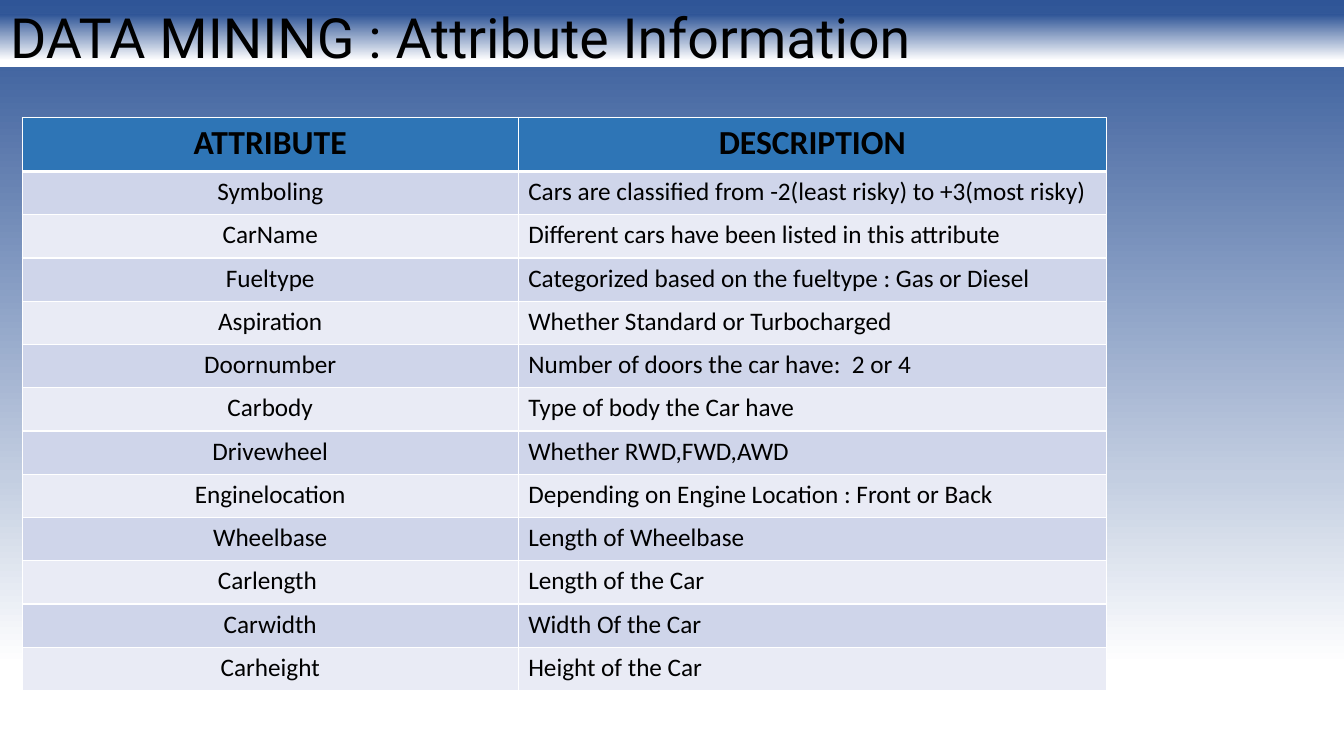
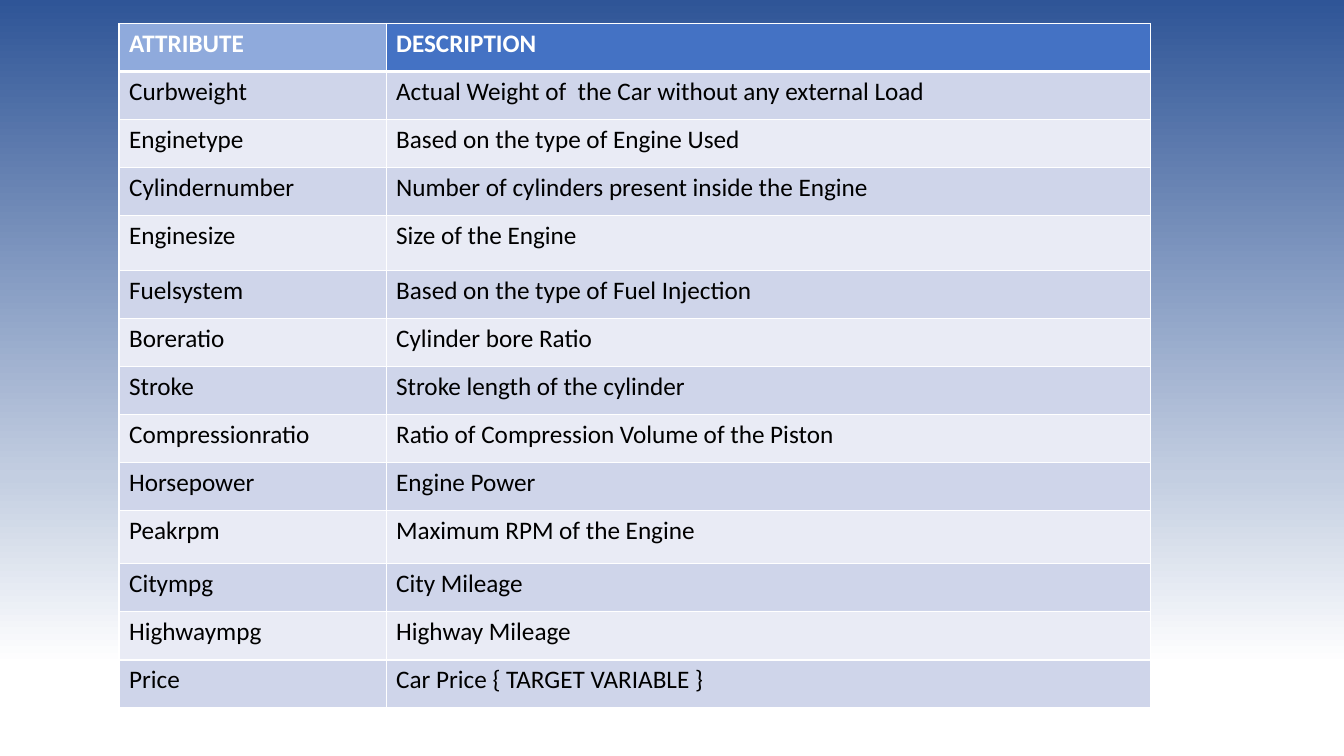
from lxml.etree import SubElement
from pptx import Presentation
from pptx.dml.color import RGBColor
from pptx.enum.text import MSO_ANCHOR, MSO_AUTO_SIZE, PP_ALIGN
from pptx.oxml.ns import qn
from pptx.util import Cm, Pt

COLORS = {
    "navy": "2F5597",
    "mist": "C3CEE1",
    "white": "FFFFFF",
    "black": "000000",
    "steel": "2E75B6",
    "sky": "8FAADC",
    "blue": "4472C4",
    "band_dark": "CFD5EA",
    "band_light": "E9EBF5",
}
BACKGROUND_STOPS = [(0, "navy"), (63, "mist"), (88, "white")]
TITLE_STOPS = [(0, "navy"), (88, "white")]
TITLE_ONLY, BLANK = 5, 6
SLIDE_WIDTH, SLIDE_HEIGHT = Cm(33.87), Cm(19.05)

BODY_ATTRIBUTES = [
    ("Symboling", "Cars are classified from -2(least risky) to +3(most risky)"),
    ("CarName", "Different cars have been listed in this attribute"),
    ("Fueltype", "Categorized based on the fueltype : Gas or Diesel"),
    ("Aspiration", "Whether Standard or Turbocharged"),
    ("Doornumber", "Number of doors the car have:  2 or 4"),
    ("Carbody", "Type of body the Car have"),
    ("Drivewheel", "Whether RWD,FWD,AWD"),
    ("Enginelocation", "Depending on Engine Location : Front or Back"),
    ("Wheelbase", "Length of Wheelbase"),
    ("Carlength ", "Length of the Car"),
    ("Carwidth", "Width Of the Car"),
    ("Carheight", "Height of the Car"),
]
ENGINE_ATTRIBUTES = [
    ("Curbweight", "Actual Weight of  the Car without any external Load"),
    ("Enginetype", "Based on the type of Engine Used"),
    ("Cylindernumber", "Number of cylinders present inside the Engine"),
    ("Enginesize", "Size of the Engine"),
    ("Fuelsystem", "Based on the type of Fuel Injection"),
    ("Boreratio", "Cylinder bore Ratio"),
    ("Stroke", "Stroke length of the cylinder"),
    ("Compressionratio", "Ratio of Compression Volume of the Piston"),
    ("Horsepower", "Engine Power"),
    ("Peakrpm", "Maximum RPM of the Engine"),
    ("Citympg", "City Mileage"),
    ("Highwaympg", "Highway Mileage"),
    ("Price", "Car Price { TARGET VARIABLE }"),
]


def rgb(name):
    return RGBColor.from_string(COLORS[name])


def paint_gradient(fill, element, stops):
    fill.gradient()
    fill.gradient_angle = 270
    stop_list = element.find(".//" + qn("a:gsLst"))
    for old_stop in list(stop_list):
        stop_list.remove(old_stop)
    for percent, color in stops:
        stop = SubElement(stop_list, qn("a:gs"), pos=str(percent * 1000))
        SubElement(stop, qn("a:srgbClr"), val=COLORS[color])


class Deck:
    def __init__(self):
        self.prs = Presentation()
        self.prs.slide_width, self.prs.slide_height = SLIDE_WIDTH, SLIDE_HEIGHT
        master = self.prs.slide_master
        paint_gradient(master.background.fill, master.element, BACKGROUND_STOPS)
        self.slide = None

    def add_slide(self, layout):
        self.slide = self.prs.slides.add_slide(self.prs.slide_layouts[layout])

    def title(self, text):
        heading = self.slide.shapes.title
        heading.left, heading.top = Cm(0), Cm(0.36)
        heading.width, heading.height = SLIDE_WIDTH, Cm(1.32)
        paint_gradient(heading.fill, heading.element, TITLE_STOPS)
        frame = heading.text_frame
        frame.text = text
        frame.word_wrap = True
        frame.auto_size = MSO_AUTO_SIZE.NONE
        frame.vertical_anchor = MSO_ANCHOR.MIDDLE
        line = frame.paragraphs[0]
        line.alignment = PP_ALIGN.LEFT
        line.line_spacing = 0.9
        self.style_text(line, 39.6, "black", font="Roboto")

    def style_text(self, paragraph, size, color, bold=False, font="Calibri"):
        for run in paragraph.runs:
            run.font.name = font
            run.font.size = Pt(size)
            run.font.bold = bold
            run.font.color.rgb = rgb(color)

    def borders(self, cell, top, bottom):
        properties = cell._tc.get_or_add_tcPr()
        for side, width in (("L", 1), ("R", 1), ("T", top), ("B", bottom)):
            edge = SubElement(properties, qn(f"a:ln{side}"), w=str(Pt(width)))
            paint = SubElement(edge, qn("a:solidFill"))
            SubElement(paint, qn("a:srgbClr"), val=COLORS["white"])

    def cell(self, cell, text, fill, size, color, bold, align, top, bottom):
        self.borders(cell, top, bottom)
        cell.fill.solid()
        cell.fill.fore_color.rgb = rgb(fill)
        cell.text_frame.text = text
        line = cell.text_frame.paragraphs[0]
        line.alignment = align
        self.style_text(line, size, color, bold)

    def attribute_table(self, attributes, left, top, widths, heights,
                        header_fills, header_size, header_color,
                        header_align, name_align):
        rows = [("ATTRIBUTE", "DESCRIPTION"), *attributes]
        table = self.slide.shapes.add_table(
            len(rows), len(widths), left, top, sum(widths), sum(heights)).table
        for column, width in zip(table.columns, widths):
            column.width = width
        for row, height in zip(table.rows, heights):
            row.height = height
        for r, texts in enumerate(rows):
            is_header = r == 0
            band = "band_dark" if r % 2 else "band_light"
            for c, text in enumerate(texts):
                body_align = name_align if c == 0 else PP_ALIGN.LEFT
                self.cell(
                    table.cell(r, c), text,
                    fill=header_fills[c] if is_header else band,
                    size=header_size if is_header else 18,
                    color=header_color if is_header else "black",
                    bold=is_header,
                    align=header_align if is_header else body_align,
                    top=3 if r == 1 else 1,
                    bottom=3 if is_header else 1)


def main():
    deck = Deck()

    deck.add_slide(TITLE_ONLY)
    deck.title("DATA MINING : Attribute Information")
    deck.attribute_table(
        BODY_ATTRIBUTES, Cm(0.56), Cm(2.97), [Cm(12.5), Cm(14.82)],
        [Cm(1.35)] + [Cm(1.09)] * len(BODY_ATTRIBUTES),
        header_fills=["steel", "steel"], header_size=24, header_color="black",
        header_align=PP_ALIGN.CENTER, name_align=PP_ALIGN.CENTER)

    deck.add_slide(BLANK)
    tall_rows = {"Enginesize": Cm(1.38), "Peakrpm": Cm(1.35)}
    row_height = Cm(1.21)
    deck.attribute_table(
        ENGINE_ATTRIBUTES, Cm(3), Cm(0.59), [Cm(6.73), Cm(19.27)],
        [row_height] + [tall_rows.get(name, row_height)
                        for name, _ in ENGINE_ATTRIBUTES],
        header_fills=["sky", "blue"], header_size=18, header_color="white",
        header_align=PP_ALIGN.LEFT, name_align=PP_ALIGN.LEFT)

    deck.prs.save("out.pptx")


if __name__ == "__main__":
    main()
